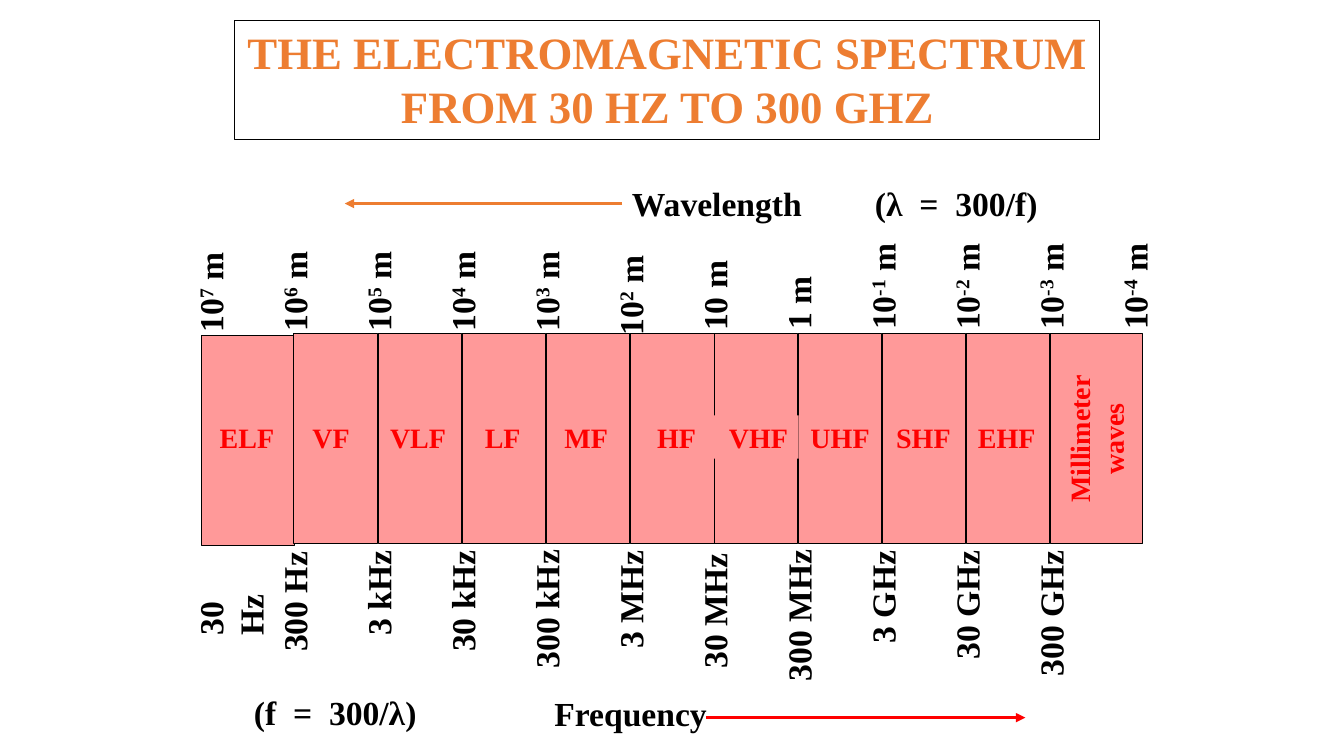
from dataclasses import dataclass

from lxml.etree import SubElement
from pptx import Presentation
from pptx.dml.color import RGBColor
from pptx.enum.shapes import MSO_CONNECTOR, MSO_SHAPE
from pptx.enum.text import MSO_ANCHOR, MSO_AUTO_SIZE, PP_ALIGN
from pptx.oxml.ns import qn
from pptx.shapes.autoshape import Shape
from pptx.slide import Slide
from pptx.util import Inches, Pt

COLORS = {"pink": "FF9999", "red": "FF0000", "orange": "ED7D31", "black": "000000"}
FONT = "Times New Roman"
START, STEP = 2.083, 0.8333
TOP, HIGH = 3.31, 2.08
LABEL = 0.5


@dataclass
class Band:
    name: str
    left: float  # left edge of the name patch
    name_w: float
    width: float = 0.83
    wrap: bool = False


@dataclass
class Tick:
    text: str
    mid: float  # vertical centre
    length: float
    power: str = ""
    unit: str = ""


@dataclass
class Arrow:
    begin: float
    end: float
    y: float
    color: str


BANDS = [
    Band("ELF", 2.08, 0.74, 0.92),
    Band("VF", 3, 0.57),
    Band("VLF", 3.77, 0.76),
    Band("LF", 4.71, 0.56),
    Band("MF", 5.5, 0.63),
    Band("HF", 6.42, 0.67, 0.92, True),
    Band("VHF", 7.13, 0.79),
    Band("UHF", 7.94, 0.79),
    Band("SHF", 8.79, 0.74),
    Band("EHF", 9.6, 0.77),
]
WAVES = [
    Tick("10", 2.89, 1.01, "7", " m"),
    Tick("10", 2.88, 1.01, "6", " m"),
    Tick("10", 2.88, 1.01, "5", " m"),
    Tick("10", 2.88, 1.01, "4", " m"),
    Tick("10", 2.88, 1.01, "3", " m"),
    Tick("10", 2.92, 1.01, "2", " m"),
    Tick("10 m", 2.93, 0.9),
    Tick("1 m", 3, 0.73),
    Tick("10", 2.83, 1.08, "-1", " m"),
    Tick("10", 2.83, 1.08, "-2", " m"),
    Tick("10", 2.83, 1.08, "-3", " m"),
    Tick("10", 2.83, 1.08, "-4", " m"),
]
FREQS = [
    Tick("30 Hz", 5.89, 1.02),
    Tick("300 Hz", 5.97, 1.19),
    Tick("3 kHz", 5.88, 1.04),
    Tick("30 kHz", 5.96, 1.21),
    Tick("300 kHz", 6.04, 1.38),
    Tick("3 MHz", 5.95, 1.17),
    Tick("30 MHz", 6.06, 1.34),
    Tick("300 MHz", 6.1, 1.51),
    Tick("3 GHz", 5.92, 1.12),
    Tick("30 GHz", 6, 1.28),
    Tick("300 GHz", 6.08, 1.45),
]
ARROWS = [Arrow(7, 10.17, 7.12, "red"), Arrow(6.17, 3.42, 2.02, "orange")]


def tint(name: str) -> RGBColor:
    return RGBColor.from_string(COLORS[name])


def add_rect(slide: Slide, left: float, top: float, width: float, height: float,
             fill: str = "", line: str = "") -> Shape:
    rect = slide.shapes.add_shape(MSO_SHAPE.RECTANGLE, Inches(left), Inches(top),
                                  Inches(width), Inches(height))
    rect.shadow.inherit = False
    if fill:
        rect.fill.solid()
        rect.fill.fore_color.rgb = tint(fill)
    else:
        rect.fill.background()
    if line:
        rect.line.color.rgb = tint(line)
        rect.line.width = Pt(0.75)
    else:
        rect.line.fill.background()
    return rect


def add_note(slide: Slide, left: float, top: float, width: float, text: str) -> Shape:
    note = slide.shapes.add_textbox(Inches(left), Inches(top), Inches(width), Inches(LABEL))
    set_text(note, text, 24, "black")
    return note


def set_text(shape: Shape, text: str, size: int, color: str,
             align: PP_ALIGN = PP_ALIGN.LEFT, wrap: bool = False) -> None:
    frame = shape.text_frame
    frame.text = text
    frame.word_wrap = wrap
    frame.auto_size = MSO_AUTO_SIZE.SHAPE_TO_FIT_TEXT
    frame.vertical_anchor = MSO_ANCHOR.TOP
    for para in frame.paragraphs:
        para.alignment = align
        for run in para.runs:
            style(run.font, size, color)


def style(font, size: int, color: str) -> None:
    font.name, font.size, font.bold = FONT, Pt(size), True
    font.color.rgb = tint(color)


def add_tick(slide: Slide, tick: Tick, index: int) -> None:
    """Place an upright label centred on a band edge."""
    mid = START + index * STEP
    note = add_note(slide, mid - tick.length / 2, tick.mid - LABEL / 2,
                    tick.length, tick.text)
    note.rotation = 270
    if tick.power:
        para = note.text_frame.paragraphs[0]
        for text in (tick.power, tick.unit):
            run = para.add_run()
            run.text = text
            style(run.font, 24, "black")
        para.runs[1]._r.get_or_add_rPr().set("baseline", "30000")


def add_arrow(slide: Slide, arrow: Arrow) -> None:
    line = slide.shapes.add_connector(
        MSO_CONNECTOR.STRAIGHT, Inches(arrow.begin), Inches(arrow.y),
        Inches(arrow.end), Inches(arrow.y))
    line.line.color.rgb = tint(arrow.color)
    line.line.width = Pt(2.25)
    props = line._element.spPr
    SubElement(props.find(qn("a:ln")), qn("a:tailEnd"), type="triangle")
    SubElement(props, qn("a:effectLst"))


def main() -> None:
    deck = Presentation()
    deck.slide_width, deck.slide_height = Inches(13.33), Inches(7.5)
    slide = deck.slides.add_slide(deck.slide_layouts[6])

    title = add_rect(slide, 2.33, 0.2, 8.58, 1.18, line="black")
    set_text(title, "THE ELECTROMAGNETIC SPECTRUM FROM 30 HZ TO 300 GHZ",
             32, "orange", PP_ALIGN.CENTER, True)

    last = Band("Millimeter\nwaves", 10.01, 1.72, 0.92, True)
    for i, band in enumerate([*BANDS, last]):
        left, top = (START + i * STEP, TOP) if i else (2, 3.33)
        add_rect(slide, left, top, band.width, HIGH, "pink", "black")
    for band in BANDS:
        patch = add_rect(slide, band.left, 4.12, band.name_w, 0.43, "pink")
        set_text(patch, band.name, 20, "red", wrap=band.wrap)
    patch = add_rect(slide, last.left, 3.97, last.name_w, 0.77, "pink")
    patch.rotation = 270
    set_text(patch, last.name, 20, "red", PP_ALIGN.CENTER, last.wrap)

    for ticks in (WAVES, FREQS):
        for i, tick in enumerate(ticks):
            add_tick(slide, tick, i)

    add_note(slide, 6.17, 1.77, 1.9, "Wavelength")
    add_note(slide, 8.58, 1.77, 1.83, "(λ  =  300/f)")
    add_note(slide, 5.4, 6.83, 1.72, "Frequency")
    add_note(slide, 2.42, 6.82, 1.83, "(f  =  300/λ)")
    for arrow in ARROWS:
        add_arrow(slide, arrow)

    deck.save("out.pptx")


if __name__ == "__main__":
    main()
